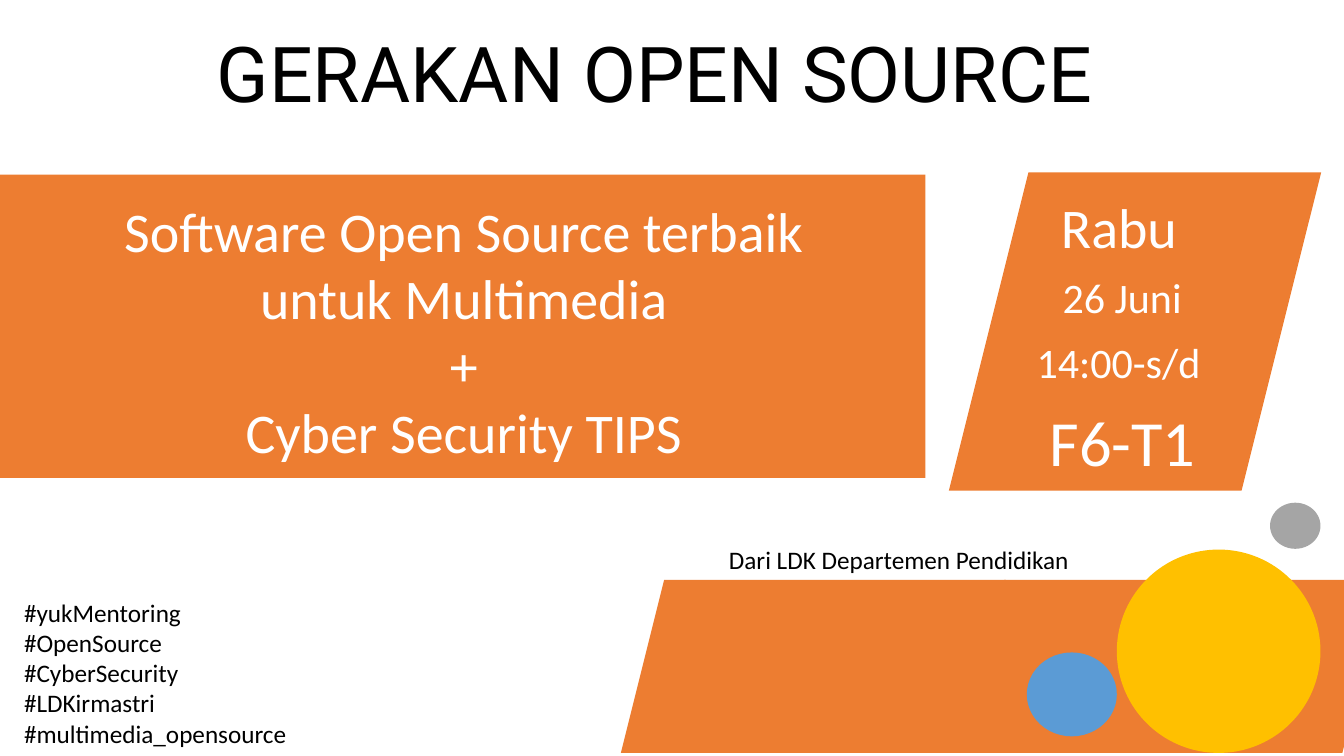
from pptx import Presentation
from pptx.dml.color import RGBColor
from pptx.enum.shapes import MSO_SHAPE
from pptx.enum.text import MSO_AUTO_SIZE, PP_ALIGN
from pptx.util import Inches, Pt

SLANT = MSO_SHAPE.PARALLELOGRAM
OVAL = MSO_SHAPE.OVAL
RECT = MSO_SHAPE.RECTANGLE
LEFT, MID = PP_ALIGN.LEFT, PP_ALIGN.CENTER
GROW = MSO_AUTO_SIZE.SHAPE_TO_FIT_TEXT
ORANGE, WHITE, BLACK = "ED7D31", "FFFFFF", "000000"

deck = Presentation()
deck.slide_width, deck.slide_height = Inches(13.33), Inches(7.5)
slide = deck.slides.add_slide(deck.slide_layouts[6])
col, row = deck.slide_width / 100, deck.slide_height / 100


def place(x, y, w, h):
    return int(x * col), int(y * row), int(w * col), int(h * row)


def write(shapes, box, text, size, color, align=MID, wrap=True, font="Calibri"):
    frame = shapes.add_textbox(*place(*box)).text_frame
    frame.text = text
    frame.word_wrap = wrap
    frame.auto_size = GROW
    for para in frame.paragraphs:
        para.alignment = align
        for run in para.runs:
            run.font.name = font
            run.font.size = Pt(size)
            run.font.color.rgb = RGBColor.from_string(color)


for kind, box, color in [
    (SLANT, (70.6, 22.8, 27.7, 42.1), ORANGE),
    (SLANT, (71.5, 76.7, 31.6, 22.9), ORANGE),
    (SLANT, (46.2, 76.7, 28.65, 22.9), ORANGE),
    (OVAL, (76.4, 86.3, 6.7, 11.1), "5B9BD5"),
    (OVAL, (83.1, 72.7, 15.15, 26.9), "FFC000"),
    (OVAL, (94.5, 66.5, 3.75, 6.1), "A5A5A5"),
    (RECT, (-0.3, 23.1, 69.15, 40.1), ORANGE),
]:
    shape = slide.shapes.add_shape(kind, *place(*box))
    shape.shadow.inherit = False
    shape.fill.solid()
    shape.fill.fore_color.rgb = RGBColor.from_string(color)
    shape.line.fill.background()

write(slide.shapes, (5.5, 2.7, 86.4, 13.6), "GERAKAN OPEN SOURCE", 55, BLACK, font="Roboto")

topic = "Software Open Source terbaik\nuntuk Multimedia\n+\vCyber Security TIPS"
write(slide.shapes, (2.25, 25.3, 64.5, 37.2), topic, 40, WHITE, wrap=False)

date = slide.shapes.add_group_shape()
for box, text, size in [
    ((76.1, 52.5, 14.85, 11.6), "F6-T1", 46),
    ((77.25, 24.8, 12, 10.3), "Rabu", 40),
    ((76.35, 35.2, 14.3, 8), "26 Juni", 30),
    ((75.5, 43.9, 15.45, 8), "14:00-s/d", 30),
]:
    write(date.shapes, box, text, size, WHITE)

tags = "#yukMentoring\v#OpenSource\v#CyberSecurity\n#LDKirmastri\n#multimedia_opensource"
for box, text in [
    ((53.5, 71.3, 29.7, 5.3), "Dari LDK Departemen Pendidikan"),
    ((1.05, 78.3, 22.4, 21.5), tags),
]:
    write(slide.shapes, box, text, 18, BLACK, LEFT, False)

deck.save("out.pptx")
